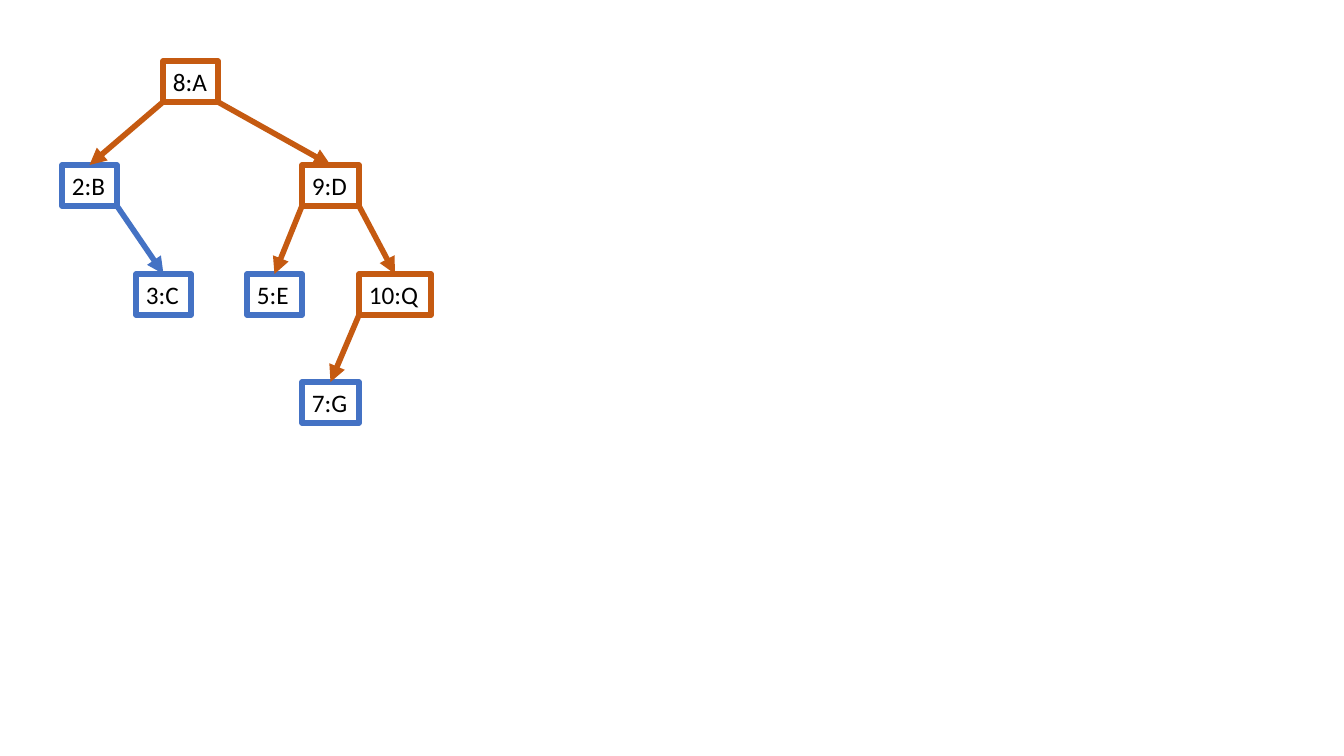
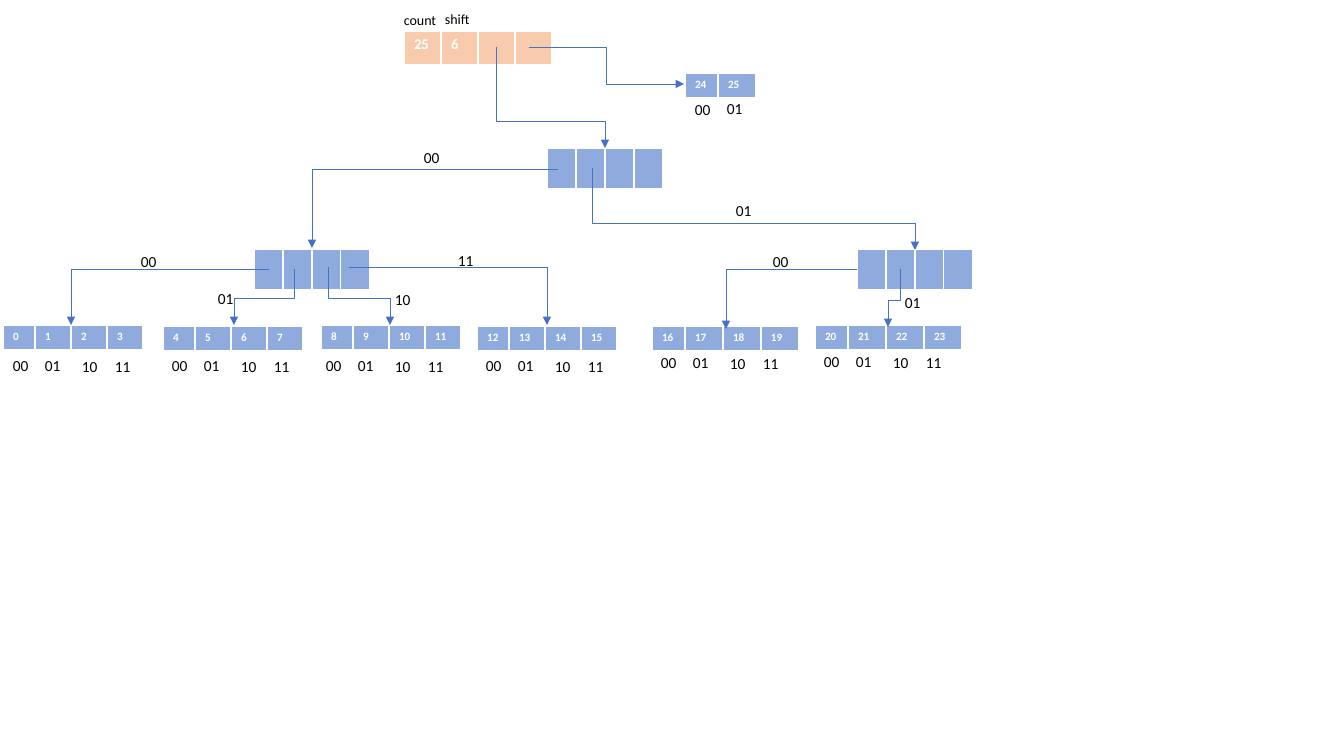
from lxml import etree
from pptx import Presentation
from pptx.dml.color import RGBColor
from pptx.enum.shapes import MSO_CONNECTOR
from pptx.oxml.ns import qn
from pptx.util import Pt

STRAIGHT = MSO_CONNECTOR.STRAIGHT
ELBOW = MSO_CONNECTOR.ELBOW
PX = 914400 / 100.8
FONT = "Calibri"
HUES = {
    "orange": "C55A11",
    "blue": "4472C4",
    "sky": "8FAADC",
    "peach": "F8CBAD",
    "black": "000000",
    "white": "FFFFFF",
}
RGB = {name: RGBColor.from_string(code) for name, code in HUES.items()}


def write(frame, text, size=11, hue="black", bold=False, wrap=True):
    frame.word_wrap = wrap
    para = frame.paragraphs[0]
    if not text:
        etree.SubElement(para._p, qn("a:endParaRPr"), sz=str(int(size * 100)))
        return
    run = para.add_run()
    run.text = text
    run.font.name = FONT
    run.font.size = Pt(size)
    run.font.bold = bold
    run.font.color.rgb = RGB[hue]


def join(slide, ends, hue="blue", width=0.5, bend=None, head=True):
    kind = STRAIGHT if bend is None else ELBOW
    link = slide.shapes.add_connector(kind, *[round(n * PX) for n in ends])
    link.line.color.rgb = RGB[hue]
    link.line.width = Pt(width)
    props = link._element.spPr
    if bend is not None:
        guides = props.find(qn("a:prstGeom")).get_or_add_avLst()
        etree.SubElement(guides, qn("a:gd"), name="adj1", fmla=f"val {round(bend * 100000)}")
    if head:
        etree.SubElement(props.find(qn("a:ln")), qn("a:tailEnd"), type="triangle")
    etree.SubElement(props, qn("a:effectLst"))


deck = Presentation()
deck.slide_width = round(1344 * PX)
deck.slide_height = round(756 * PX)
blank = deck.slide_layouts[6]

tree = deck.slides.add_slide(blank)
HIGH = 41
nodes = {
    "8:A": (163, 61, 55, "orange"),
    "2:B": (62, 165, 55, "blue"),
    "9:D": (302, 165, 57, "orange"),
    "3:C": (136, 274, 55, "blue"),
    "5:E": (247, 274, 55, "blue"),
    "10:Q": (359, 274, 72, "orange"),
    "7:G": (302, 382, 57, "blue"),
}
for name, (x, y, w, hue) in nodes.items():
    box = tree.shapes.add_textbox(*[round(n * PX) for n in (x, y, w, HIGH)])
    box.line.color.rgb = RGB[hue]
    box.line.width = Pt(4)
    write(box.text_frame, name, size=18)

edges = [("8:A", "2:B"), ("8:A", "9:D"), ("2:B", "3:C"),
         ("9:D", "5:E"), ("9:D", "10:Q"), ("10:Q", "7:G")]
for top, low in edges:
    x, y, w, hue = nodes[top]
    left, down, wide, _ = nodes[low]
    start = x if left < x else x + w
    join(tree, (start, y + HIGH, left + wide / 2, down), hue=hue, width=4)

trie = deck.slides.add_slide(blank)
SLIM = [32, 36, 36, 36]
BROAD = [33, 38, 38, 38]
leaves = [
    (3, 325, SLIM, 3, 351),
    (163, 326, SLIM, 162, 351),
    (321, 325, SLIM, 316, 351),
    (477, 326, SLIM, 476, 351),
    (652, 326, BROAD, 651, 348),
    (815, 325, BROAD, 814, 347),
]
marks = [("00", 0, 0), ("01", 32, 0), ("10", 69, 1), ("11", 102, 1)]
labels = [
    ("00", 131, 247), ("01", 895, 288), ("01", 726, 196), ("00", 414, 143),
    ("00", 763, 247), ("01", 208, 284), ("11", 448, 246), ("10", 385, 285),
    ("00", 685, 95), ("01", 717, 94),
]
grids = [
    (404, 31, [37] * 4, 34, "peach", 10.5, ["25", "6", "", ""]),
    (685, 73, BROAD[:2], 25, "sky", 8, ["24", "25"]),
]
for x, y in [(547, 148), (254, 249), (857, 249)]:
    grids.append((x, y, [29] * 4, 34, "sky", 18, [""] * 4))
for i, (x, y, cols, left, top) in enumerate(leaves):
    words = [str(4 * i + j) for j in range(4)]
    grids.append((x, y, cols, 25, "sky", 8, words))
    labels += [(mark, left + dx, top + dy) for mark, dx, dy in marks]

for x, y, cols, high, hue, size, words in grids:
    area = [round(n * PX) for n in (x, y, sum(cols), high)]
    grid = trie.shapes.add_table(1, len(cols), *area).table
    for col, wide, cell, word in zip(grid.columns, cols, grid.rows[0].cells, words):
        col.width = round(wide * PX)
        cell.fill.solid()
        cell.fill.fore_color.rgb = RGB[hue]
        write(cell.text_frame, word, size=size, hue="white", bold=True)

DROP = 27
bends = [
    (496, 47, 605, 121, 0),
    (558, 169, 312, 221, 1),
    (592, 168, 915, 223, 0),
    (269, 269, 71, 298, 1),
    (294, 269, 234, 298, 0),
    (328, 267, 390, 298, 0),
    (349, 267, 547, 298, 1),
    (857, 269, 726, 302, 1),
    (900, 269, 888, 300, 0),
]
for x, y, right, low, bend in bends:
    join(trie, (x, y, right, low), bend=bend, head=False)
    join(trie, (right, low, right, low + DROP))
join(trie, (529, 47, 684, 84), bend=0.5)

for text, x, y in labels:
    box = trie.shapes.add_textbox(*[round(n * PX) for n in (x, y, 42, 29)])
    write(box.text_frame, text)
for text, x, y, w in [("count", 394, 7, 53), ("shift", 435, 6, 45)]:
    box = trie.shapes.add_textbox(*[round(n * PX) for n in (x, y, w, 27)])
    write(box.text_frame, text, size=10, wrap=False)

deck.save("out.pptx")
